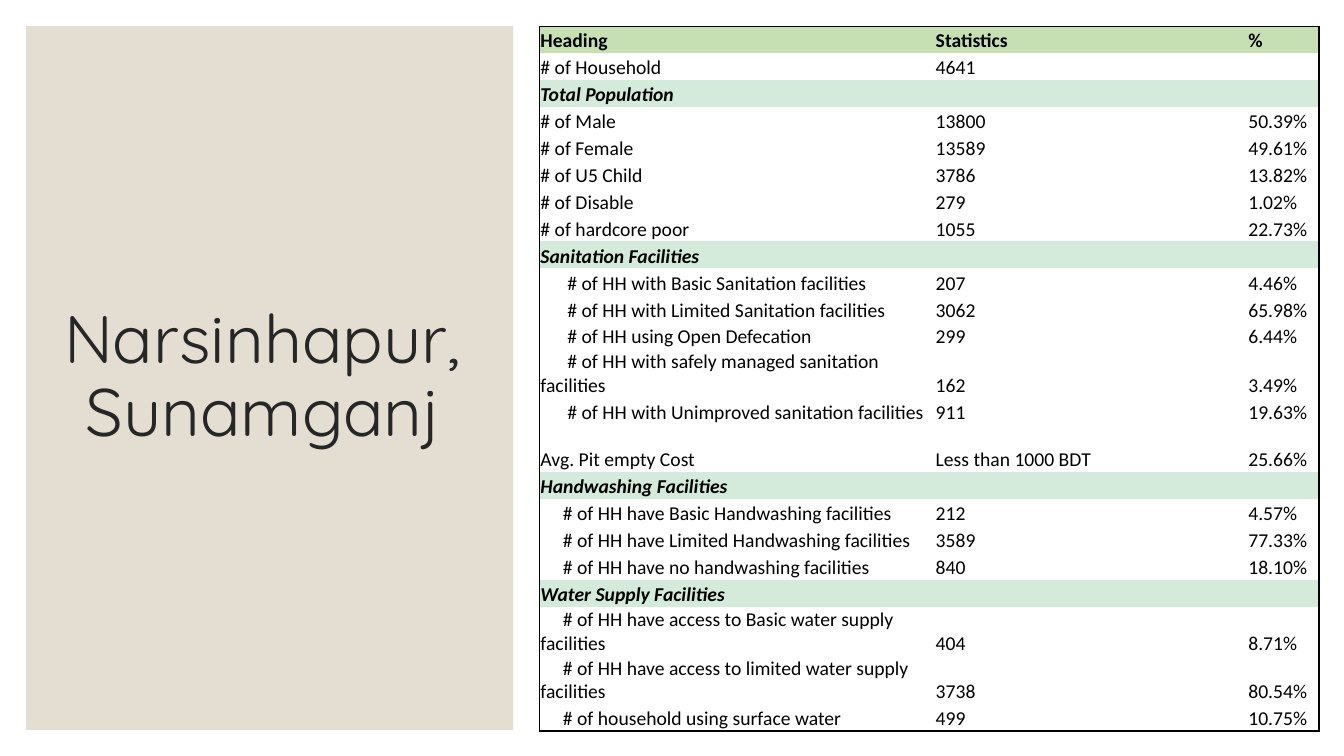
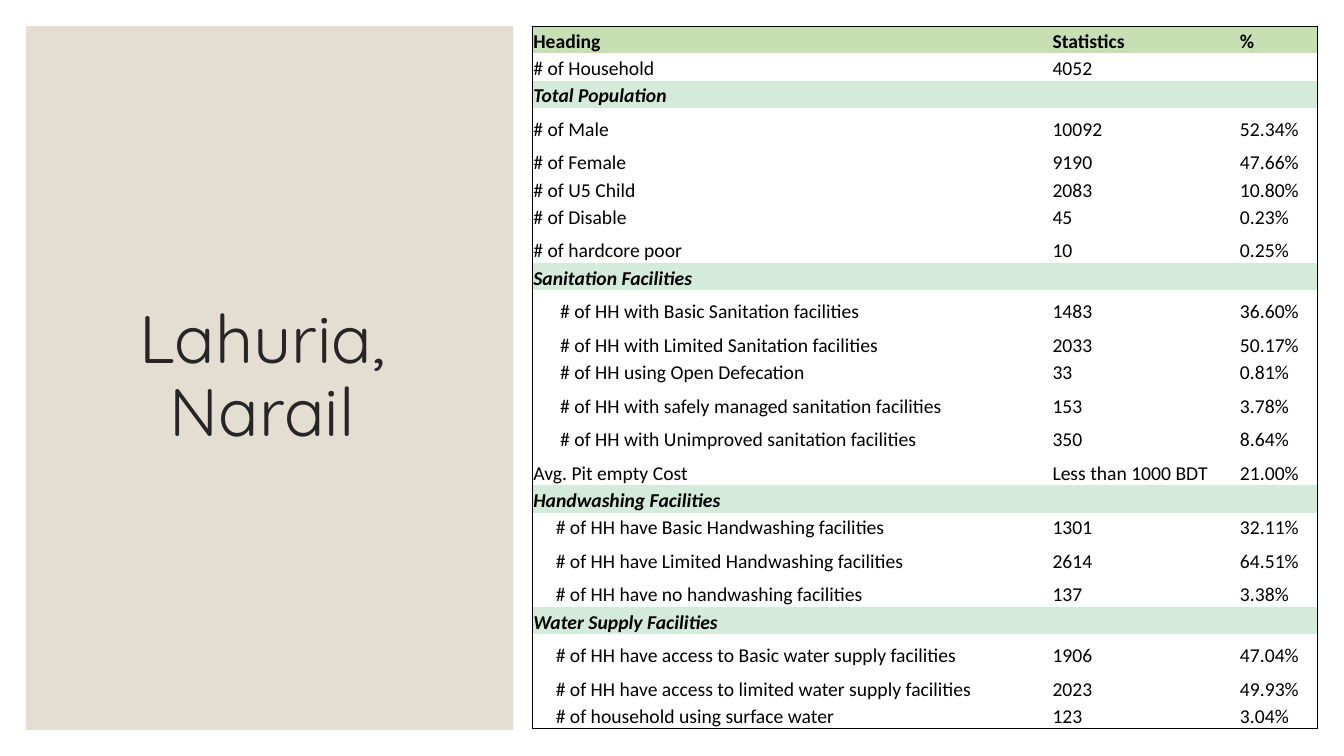
from lxml.etree import SubElement
from pptx import Presentation
from pptx.dml.color import RGBColor
from pptx.enum.shapes import MSO_SHAPE
from pptx.enum.text import MSO_ANCHOR, PP_ALIGN
from pptx.oxml.ns import qn
from pptx.util import Inches, Pt

INK = RGBColor(0x26, 0x26, 0x26)
BLACK = RGBColor(0x00, 0x00, 0x00)
SAND = RGBColor(0xE3, 0xDE, 0xD1)
HEADER_GREEN = RGBColor(0xC6, 0xE0, 0xB4)
SECTION_GREEN = RGBColor(0xD4, 0xEB, 0xDB)

HEADINGS = ("Heading", "Statistics", "%")
SECTIONS = [
    (None, 0, ["# of Household"]),
    ("Total Population", 0, [
        "# of Male", "# of Female", "# of U5 Child", "# of Disable",
        "# of hardcore poor"]),
    ("Sanitation Facilities", 2, [
        "# of HH with Basic Sanitation facilities",
        "# of HH with Limited Sanitation facilities",
        "# of HH using Open Defecation",
        "# of HH with safely managed sanitation facilities",
        "# of HH with Unimproved sanitation facilities",
        "Avg. Pit empty Cost"]),
    ("Handwashing Facilities", 1.67, [
        "# of HH have Basic Handwashing facilities",
        "# of HH have Limited Handwashing facilities",
        "# of HH have no handwashing facilities"]),
    ("Water Supply Facilities", 1.67, [
        "# of HH have access to Basic water supply facilities",
        "# of HH have access to limited water supply facilities",
        "# of household using surface water"]),
]

UNIONS = [
    {
        "name": "Narsinhapur, Sunamganj",
        "left": 40.14,
        "columns": (29.41, 23.26, 5.33),
        "short": 3.56, "tall": 6.27, "tall_rows": {12, 14, 20, 21},
        "figures": [
            ("4641", ""),
            ("13800", "50.39%"), ("13589", "49.61%"), ("3786", "13.82%"),
            ("279", "1.02%"), ("1055", "22.73%"),
            ("207", "4.46%"), ("3062", "65.98%"), ("299", "6.44%"),
            ("162", "3.49%"), ("911", "19.63%"),
            ("Less than 1000 BDT", "25.66%"),
            ("212", "4.57%"), ("3589", "77.33%"), ("840", "18.10%"),
            ("404", "8.71%"), ("3738", "80.54%"), ("499", "10.75%"),
        ],
    },
    {
        "name": "Lahuria, Narail",
        "left": 39.61,
        "columns": (38.63, 13.95, 5.85),
        "short": 3.61, "tall": 4.44,
        "tall_rows": {3, 4, 7, 9, 10, 12, 13, 14, 17, 18, 20, 21},
        "figures": [
            ("4052", ""),
            ("10092", "52.34%"), ("9190", "47.66%"), ("2083", "10.80%"),
            ("45", "0.23%"), ("10", "0.25%"),
            ("1483", "36.60%"), ("2033", "50.17%"), ("33", "0.81%"),
            ("153", "3.78%"), ("350", "8.64%"),
            ("Less than 1000 BDT", "21.00%"),
            ("1301", "32.11%"), ("2614", "64.51%"), ("137", "3.38%"),
            ("1906", "47.04%"), ("2023", "49.93%"), ("123", "3.04%"),
        ],
    },
]


def table_rows(figures):
    """Return (kind, indent, texts) for each table row."""
    remaining = iter(figures)
    rows = [("header", 0, HEADINGS)]
    for section, indent, labels in SECTIONS:
        if section:
            rows.append(("section", 0, (section, "", "")))
        for label in labels:
            step = 0 if label.startswith("Avg.") else indent
            rows.append(("figure", step, (label, *next(remaining))))
    return rows


class Deck:
    """Holds the style and the current slide; lengths are percent of its size."""

    TOP = 3.47
    FILLS = {"header": HEADER_GREEN, "section": SECTION_GREEN}

    def __init__(self):
        self.prs = Presentation()
        self.prs.slide_width = Inches(13.33)
        self.prs.slide_height = Inches(7.5)
        self.slide = None

    def x(self, share):
        """Turn a percentage of the slide width into a length."""
        return round(self.prs.slide_width * share / 100)

    def y(self, share):
        """Turn a percentage of the slide height into a length."""
        return round(self.prs.slide_height * share / 100)

    def new_slide(self):
        """Start a slide on the title-only layout."""
        self.slide = self.prs.slides.add_slide(self.prs.slide_layouts[5])

    def title_panel(self, name):
        """Set the title over a sand-coloured panel."""
        panel = self.slide.shapes.add_shape(
            MSO_SHAPE.RECTANGLE, self.x(1.95), self.y(self.TOP),
            self.x(36.23), self.y(93.07))
        panel.shadow.inherit = False
        panel.fill.solid()
        panel.fill.fore_color.rgb = SAND
        panel.line.fill.background()

        title = self.slide.shapes.title
        title._element.addprevious(panel._element)
        title.left, title.top = self.x(3.38), self.y(8.13)
        title.width, title.height = self.x(32.26), self.y(83.87)
        title.text_frame.word_wrap = True
        title.text_frame.vertical_anchor = MSO_ANCHOR.MIDDLE
        paragraph = title.text_frame.paragraphs[0]
        paragraph.alignment = PP_ALIGN.CENTER
        paragraph.line_spacing = 0.9
        self.run(paragraph, name, "Quicksand", 48, INK)

    def run(self, paragraph, text, font, size, color, bold=False, italic=False):
        """Add one formatted run."""
        run = paragraph.add_run()
        run.text = text
        run.font.name, run.font.size = font, Pt(size)
        run.font.bold, run.font.italic = bold, italic
        run.font.color.rgb = color

    def borders(self, cell, drawn):
        """Draw the named cell edges and clear the others."""
        properties = cell._tc.get_or_add_tcPr()
        for edge in "LRTB":
            line = SubElement(properties, qn(f"a:ln{edge}"), w=str(Pt(1)))
            if edge in drawn:
                paint = SubElement(line, qn("a:solidFill"))
                SubElement(paint, qn("a:srgbClr"), val=str(BLACK))
            else:
                SubElement(line, qn("a:noFill"))

    def cell(self, cell, text, kind, indent, edges):
        """Format and fill one table cell."""
        self.borders(cell, edges)
        cell.margin_left = cell.margin_right = cell.margin_top = Inches(0.01)
        cell.margin_bottom = 0
        cell.vertical_anchor = MSO_ANCHOR.BOTTOM
        if kind in self.FILLS:
            cell.fill.solid()
            cell.fill.fore_color.rgb = self.FILLS[kind]
        else:
            cell.fill.background()
        paragraph = cell.text_frame.paragraphs[0]
        if text:
            if indent:
                layout = paragraph._p.get_or_add_pPr()
                layout.set("marL", "0")
                layout.set("indent", str(self.x(indent)))
            self.run(paragraph, text, "Calibri", 14, BLACK,
                     kind != "figure", kind == "section")
        else:
            SubElement(paragraph._p, qn("a:endParaRPr"), sz="1400")

    def statistics(self, union):
        """Add the statistics table with its outer frame."""
        rows = table_rows(union["figures"])
        widths = [self.x(share) for share in union["columns"]]
        heights = [
            self.y(union["tall" if i in union["tall_rows"] else "short"])
            for i in range(len(rows))]
        table = self.slide.shapes.add_table(
            len(rows), len(widths), self.x(union["left"]), self.y(self.TOP),
            sum(widths), sum(heights)).table
        table.first_row = table.horz_banding = False
        for column, width in zip(table.columns, widths):
            column.width = width
        last_row, last_column = len(rows) - 1, len(widths) - 1
        for r, (kind, indent, texts) in enumerate(rows):
            table.rows[r].height = heights[r]
            for c, text in enumerate(texts):
                framed = {"L": c == 0, "R": c == last_column,
                          "T": r == 0, "B": r == last_row}
                if kind == "section" and c == 0:
                    framed["R"] = True
                edges = [edge for edge, drawn in framed.items() if drawn]
                self.cell(table.cell(r, c), text, kind,
                          indent if c == 0 else 0, edges)
            if kind == "section":
                table.cell(r, 0).merge(table.cell(r, last_column))


def main():
    """Build one slide per union."""
    deck = Deck()
    for union in UNIONS:
        deck.new_slide()
        deck.title_panel(union["name"])
        deck.statistics(union)
    deck.prs.save("out.pptx")


if __name__ == "__main__":
    main()
